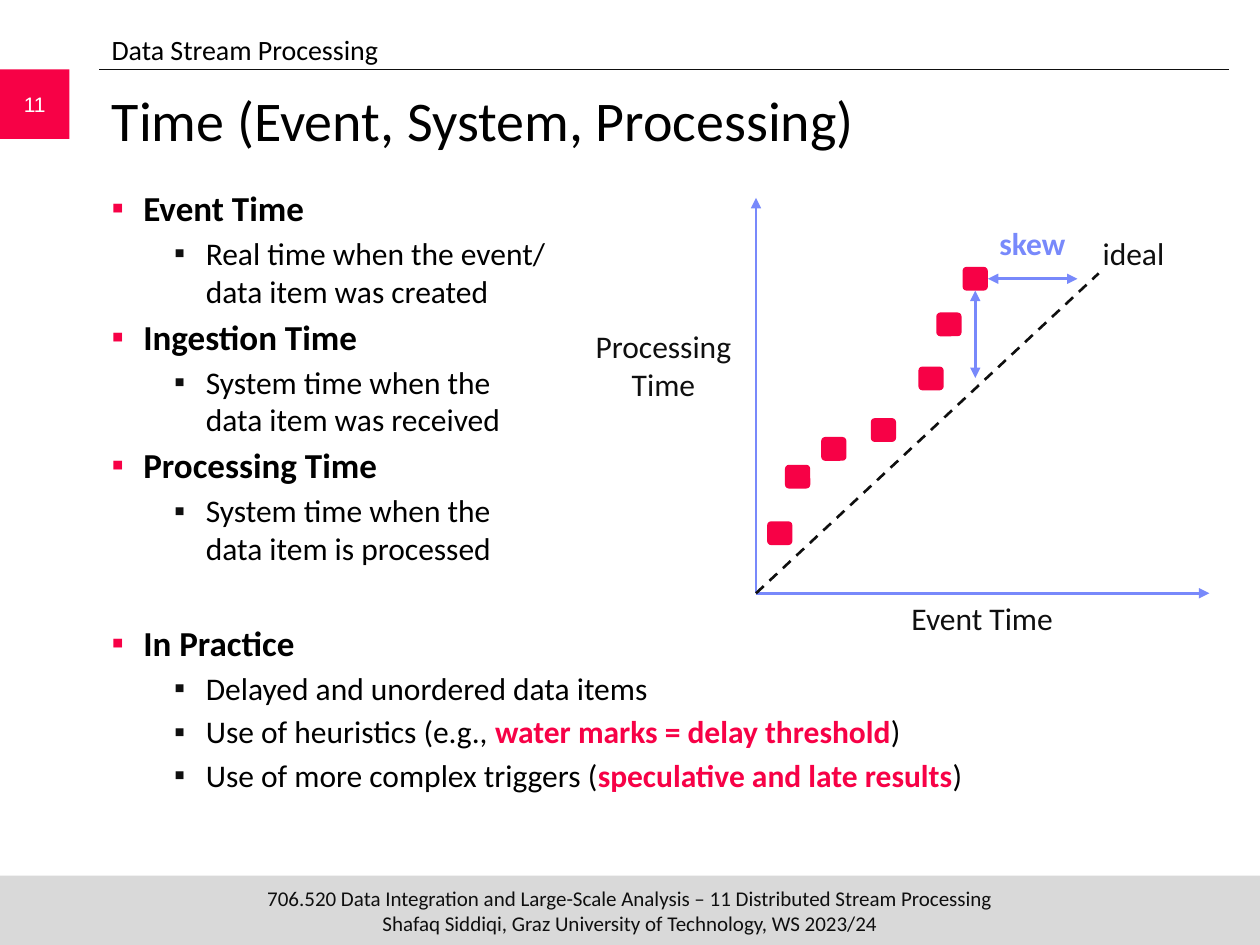
from dataclasses import dataclass

from lxml.etree import SubElement
from pptx import Presentation
from pptx.dml.color import RGBColor
from pptx.enum.dml import MSO_LINE
from pptx.enum.shapes import MSO_CONNECTOR, MSO_SHAPE
from pptx.enum.text import MSO_ANCHOR, PP_ALIGN
from pptx.oxml.ns import qn
from pptx.util import Cm, Pt

RED = RGBColor(0xF7, 0x01, 0x46)
BLUE = RGBColor(0x78, 0x89, 0xFB)
INK = RGBColor(0x0F, 0x0F, 0x0F)
BLACK = RGBColor(0, 0, 0)
WHITE = RGBColor(0xFF, 0xFF, 0xFF)
GRAY = RGBColor(0xD9, 0xD9, 0xD9)

# Each topic: heading, space before in points, and its items.
# The parts of an item alternate between plain and highlighted text.
TOPICS = [
    ("Event Time", 0, [["Real time when the event/\vdata item was created"]]),
    ("Ingestion Time", 3.2, [["System time when the\vdata item was received"]]),
    ("Processing Time", 3.2, [["System time when the\vdata item is processed"]]),
    ("In Practice", 31, [
        ["Delayed and unordered data items"],
        ["Use of heuristics (e.g., ", "water marks = delay threshold", ")"],
        ["Use of more complex triggers (", "speculative and late results", ")"],
    ]),
]

# Centres of the data items, in cm right of and above the origin
DATA_ITEMS = [(0.48, 1.21), (0.84, 2.35), (1.57, 2.91), (2.57, 3.29),
              (3.53, 4.33), (3.89, 5.42), (4.42, 6.34)]


@dataclass
class Box:
    """A region of the slide, in cm."""
    left: float
    top: float
    width: float
    height: float

    def lengths(self):
        return Cm(self.left), Cm(self.top), Cm(self.width), Cm(self.height)


def set_font(paragraph, size, color, bold=False, name="Calibri"):
    font = paragraph.font
    font.name, font.size, font.bold = name, Pt(size), bold
    font.color.rgb = color


def add_block(slide, box, color, preset=MSO_SHAPE.RECTANGLE):
    shape = slide.shapes.add_shape(preset, *box.lengths())
    shape.shadow.inherit = False
    shape.fill.solid()
    shape.fill.fore_color.rgb = color
    shape.line.fill.background()
    return shape


def write_block(shape, text, color, font_name):
    frame = shape.text_frame
    frame.margin_left = frame.margin_right = 0
    frame.margin_top = frame.margin_bottom = 0
    frame.vertical_anchor = MSO_ANCHOR.MIDDLE
    frame.text = text
    paragraph = frame.paragraphs[0]
    paragraph.alignment = PP_ALIGN.CENTER
    set_font(paragraph, 12, color, name=font_name)


def add_text_frame(slide, box):
    frame = slide.shapes.add_textbox(*box.lengths()).text_frame
    frame.word_wrap = True
    return frame


def add_label(slide, box, text, color=INK, bold=False):
    frame = add_text_frame(slide, box)
    frame.margin_left = frame.margin_right = 0
    frame.text = text
    paragraph = frame.paragraphs[0]
    paragraph.alignment = PP_ALIGN.CENTER
    set_font(paragraph, 18, color, bold)


def add_line(slide, start, end, color, width=1.5, dash=None, arrows=()):
    """Draw a line; arrows names the ends ("headEnd", "tailEnd") with a triangle."""
    line = slide.shapes.add_connector(
        MSO_CONNECTOR.STRAIGHT, *(Cm(value) for value in (*start, *end)))
    line.line.color.rgb = color
    line.line.width = Pt(width)
    if dash:
        line.line.dash_style = dash
    properties = line.line._get_or_add_ln()
    for arrow in arrows:
        SubElement(properties, qn(f"a:{arrow}"), type="triangle")
    SubElement(line._element.spPr, qn("a:effectLst"))


def add_bullet(paragraph, indent, color):
    properties = paragraph._p.get_or_add_pPr()
    properties.set("marL", str(Cm(indent)))
    properties.set("indent", str(-Cm(0.64)))
    bullet_color = SubElement(properties, qn("a:buClr"))
    SubElement(bullet_color, qn("a:srgbClr"), val=str(color))
    SubElement(properties, qn("a:buFont"), typeface="Arial")
    SubElement(properties, qn("a:buChar"), char="▪")


def add_header(slide, box):
    """Place section name, rule, page number and title."""
    frame = add_text_frame(slide, Box(box.left, box.top, box.width, 0.91))
    frame.text = "Data Stream Processing"
    set_font(frame.paragraphs[0], 16, BLACK)

    rule = box.top + 0.87
    add_line(slide, (box.left, rule), (box.left + box.width, rule), INK, 0.5)
    number = add_block(slide, Box(0, rule, 1.4, 1.4), RED)
    write_block(number, "11", WHITE, "Arial")

    title = slide.shapes.title
    title.left, title.top, title.width, title.height = Box(
        box.left, rule + 0.2, box.width, 2.11).lengths()
    title.text_frame.text = "Time (Event, System, Processing)"
    title.text_frame.vertical_anchor = MSO_ANCHOR.TOP
    paragraph = title.text_frame.paragraphs[0]
    paragraph.alignment = PP_ALIGN.LEFT
    set_font(paragraph, 32, BLACK)


def add_topics(slide, box):
    frame = add_text_frame(slide, box)
    paragraph = frame.paragraphs[0]
    for heading, space, items in TOPICS:
        if paragraph.text:
            paragraph = frame.add_paragraph()
        paragraph.text = heading
        add_bullet(paragraph, 0.64, RED)
        paragraph.space_before = Pt(space)
        set_font(paragraph, 20, BLACK, bold=True)
        for parts in items:
            paragraph = frame.add_paragraph()
            paragraph.level = 1
            paragraph.text = parts[0]
            add_bullet(paragraph, 1.9, INK)
            paragraph.space_before = Pt(3.2)
            set_font(paragraph, 18, BLACK)
            for index, part in enumerate(parts[1:]):
                run = paragraph.add_run()
                run.text = part
                if index % 2 == 0:
                    run.font.bold = True
                    run.font.color.rgb = RED


def add_skew_diagram(slide, box):
    """Plot processing time against event time, with labels left of and below the axes."""
    def at(x, y):
        return box.left + x, box.top + box.height - y

    def label(x, y, width, height, text, **style):
        add_label(slide, Box(*at(x, y), width, height), text, **style)

    origin = at(0, 0)
    both_ends = ("headEnd", "tailEnd")
    for end in (at(box.width, 0), at(0, box.height)):
        add_line(slide, origin, end, BLUE, arrows=("tailEnd",))
    label(2.21, 0, 4.7, 1.02, "Event Time")
    label(-3.53, 5.49, 3.33, 1.8, "Processing Time")

    add_line(slide, origin, at(6.91, 6.45), INK, dash=MSO_LINE.DASH)
    label(6.63, 7.37, 1.96, 1.02, "ideal")

    width, height = 0.51, 0.48
    for x, y in DATA_ITEMS:
        item = Box(*at(x - width / 2, y + height / 2), width, height)
        add_block(slide, item, RED, MSO_SHAPE.ROUNDED_RECTANGLE)

    x, y = DATA_ITEMS[-1]
    add_line(slide, at(6.48, y), at(x + width / 2, y), BLUE, arrows=both_ends)
    add_line(slide, at(x, 4.34), at(x, y - height / 2), BLUE, arrows=both_ends)
    label(4.67, 7.57, 1.8, 1.02, "skew", color=BLUE, bold=True)


def add_footer(slide, box):
    write_block(
        add_block(slide, box, GRAY),
        "706.520 Data Integration and Large-Scale Analysis – 11 Distributed Stream Processing\v"
        "Shafaq Siddiqi, Graz University of Technology, WS 2023/24", INK, "Calibri")


def main():
    presentation = Presentation()
    presentation.slide_width, presentation.slide_height = Cm(25.4), Cm(19.05)
    slide = presentation.slides.add_slide(presentation.slide_layouts[5])
    add_footer(slide, Box(0, 17.65, 25.4, 1.4))
    add_header(slide, Box(2, 0.53, 22.78, 3.18))
    add_topics(slide, Box(2, 3.63, 22.78, 13.72))
    add_skew_diagram(slide, Box(15.24, 3.99, 9.14, 7.97))
    presentation.save("out.pptx")


if __name__ == "__main__":
    main()
